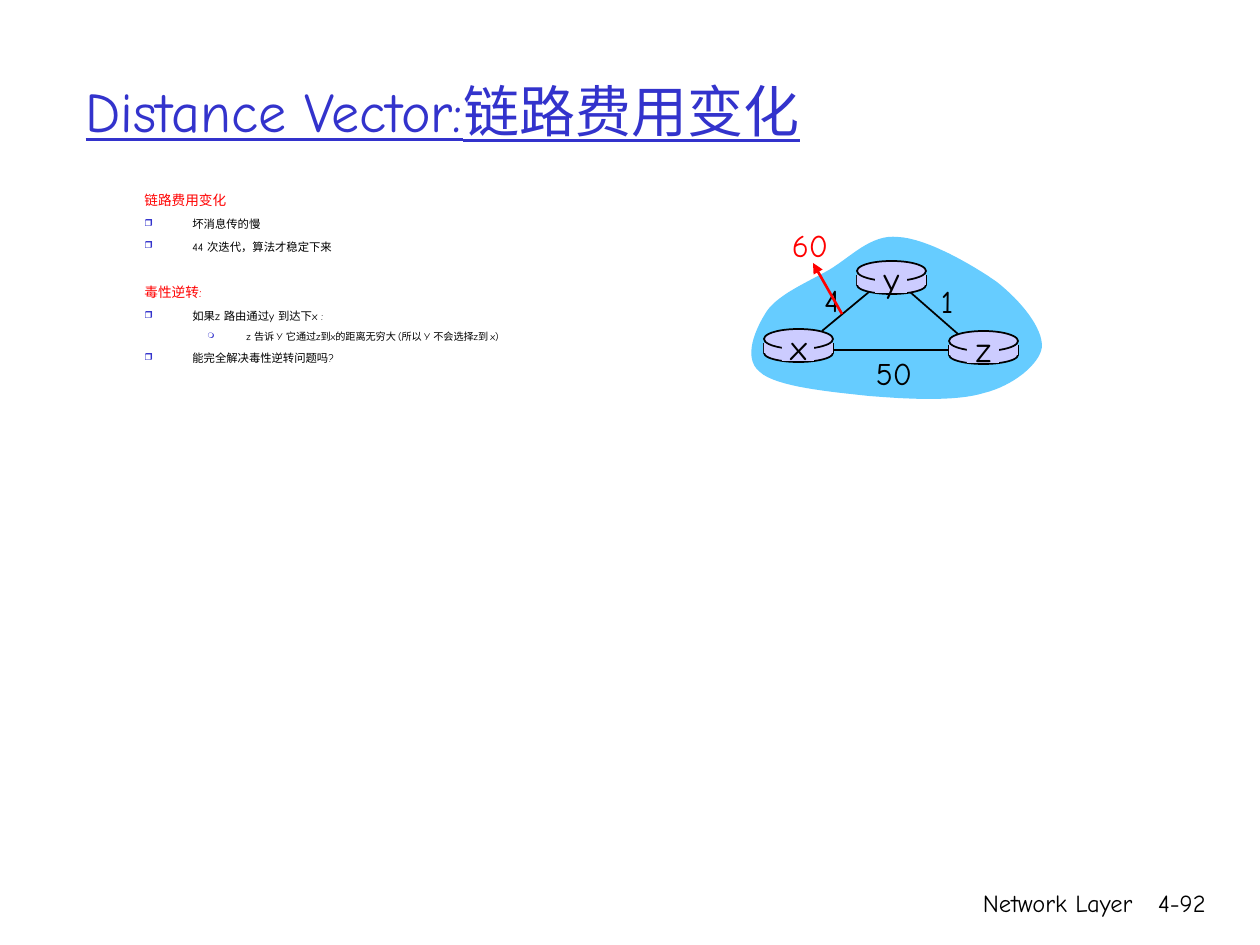
import dataclasses

import lxml.etree
import pptx
import pptx.dml.color
import pptx.enum.shapes
import pptx.enum.text
import pptx.oxml.ns
import pptx.util

SCALE = 914400 / 126
ALIGN = pptx.enum.text.PP_ALIGN
SHAPES = pptx.enum.shapes.MSO_SHAPE


@dataclasses.dataclass(frozen=True)
class Theme:
    """Colours, font and type sizes of the slide."""
    font: str = "Comic Neue"
    black: str = "000000"
    blue: str = "3333CC"
    red: str = "FF0000"
    cloud: str = "66CCFF"
    router: str = "CCCCFF"
    title: float = 32
    heading: float = 7.8
    point: float = 6.5
    subpoint: float = 5.8
    node: float = 20
    cost: float = 18
    footer: float = 14


THEME = Theme()

NOTES = [
    ("heading", "链路费用变化", 0),
    ("point", "坏消息传的慢", 5),
    ("point", "44 次迭代，算法才稳定下来", 5),
    ("heading", "毒性逆转:", 17.5),
    ("point", "如果z 路由通过y 到达下x :", 5),
    ("subpoint", "z 告诉 Y 它通过z到x的距离无穷大 (所以 Y 不会选择z到 x)", 4.5),
    ("point", "能完全解决毒性逆转问题吗?", 5),
]
BULLETS = {"point": ("❒", 85, 48, 48), "subpoint": ("❍", 75, 102, 39)}

CLOUD_START = (767, 311)
CLOUD_CURVES = [
    ((779, 294), (808, 282), (829, 270)),
    ((851, 257), (871, 234), (898, 237)),
    ((926, 238), (973, 265), (997, 282)),
    ((1021, 301), (1043, 328), (1042, 347)),
    ((1040, 364), (1013, 386), (984, 393)),
    ((955, 402), (906, 399), (869, 396)),
    ((832, 392), (776, 387), (760, 372)),
    ((742, 358), (756, 328), CLOUD_START),
]
LINKS = [((822, 331), (869, 292)), ((910, 292), (958, 334)), ((951, 350), (834, 350))]
ROUTERS = [("x", 764, 329), ("z", 949, 331), ("y", 857, 261)]
COSTS = [("1", 947, 276, THEME.black), ("4", 832, 275, THEME.black),
         ("50", 894, 348, THEME.black), ("60", 810, 220, THEME.red)]


def px(length):
    """Turn pixels into EMU."""
    return pptx.util.Emu(round(length * SCALE))


def rgb(colour):
    """Turn a hex string into a colour."""
    return pptx.dml.color.RGBColor.from_string(colour)


def style(paragraph, size, colour):
    """Format the runs of a paragraph."""
    for run in paragraph.runs:
        run.font.name = THEME.font
        run.font.size = pptx.util.Pt(size)
        run.font.color.rgb = rgb(colour)


def add_title(slide, wording):
    """Place and format the title placeholder."""
    title = slide.shapes.title
    title.left, title.top, title.width, title.height = map(px, (73, 31, 1071, 158))
    frame = title.text_frame
    frame.text = wording
    frame.auto_size = pptx.enum.text.MSO_AUTO_SIZE.NONE
    frame.vertical_anchor = pptx.enum.text.MSO_ANCHOR.MIDDLE
    heading = frame.paragraphs[0]
    heading.alignment = ALIGN.LEFT
    style(heading, THEME.title, THEME.blue)
    heading.runs[0].font.underline = True


def add_label(slide, wording, box, size, colour, align=ALIGN.CENTER, wrap=False):
    """Add a one-line text box."""
    frame = slide.shapes.add_textbox(*map(px, box)).text_frame
    frame.text = wording
    frame.word_wrap = wrap
    if not wrap:
        frame.auto_size = pptx.enum.text.MSO_AUTO_SIZE.SHAPE_TO_FIT_TEXT
    frame.paragraphs[0].alignment = align
    style(frame.paragraphs[0], size, colour)


def add_bullet(paragraph, mark, percent, margin, hanging):
    """Give a paragraph a coloured bullet and a hanging indent."""
    properties = paragraph._p.get_or_add_pPr()
    properties.set("marL", str(px(margin)))
    properties.set("indent", str(-px(hanging)))
    qn = pptx.oxml.ns.qn
    colour = lxml.etree.SubElement(properties, qn("a:buClr"))
    lxml.etree.SubElement(colour, qn("a:srgbClr"), val=THEME.blue)
    lxml.etree.SubElement(properties, qn("a:buSzPct"), val=str(percent * 1000))
    lxml.etree.SubElement(properties, qn("a:buChar"), char=mark)


def add_notes(slide):
    """Add the headings and bulleted points."""
    frame = slide.shapes.add_textbox(*map(px, (132, 186, 563, 205))).text_frame
    frame.word_wrap = True
    for index, (role, wording, space) in enumerate(NOTES):
        paragraph = frame.add_paragraph() if index else frame.paragraphs[0]
        paragraph.text = wording
        if role in BULLETS:
            add_bullet(paragraph, *BULLETS[role])
        paragraph.level = int(role == "subpoint")
        paragraph.space_before = pptx.util.Pt(space)
        style(paragraph, getattr(THEME, role), THEME.red if role == "heading" else THEME.black)


def paint(shape, fill, outline=None):
    """Set the fill and outline of a shape."""
    shape.shadow.inherit = False
    shape.fill.solid()
    shape.fill.fore_color.rgb = rgb(fill)
    if outline:
        shape.line.color.rgb = rgb(outline)
        shape.line.width = pptx.util.Pt(1)
    else:
        shape.line.fill.background()


def add_line(slide, start, end, colour=THEME.black, width=1, arrow=False):
    """Add a straight line, with an arrowhead at its end if wanted."""
    line = slide.shapes.add_connector(
        pptx.enum.shapes.MSO_CONNECTOR.STRAIGHT, *map(px, start + end))
    line.line.color.rgb = rgb(colour)
    line.line.width = pptx.util.Pt(width)
    qn = pptx.oxml.ns.qn
    if arrow:
        lxml.etree.SubElement(line.line._get_or_add_ln(), qn("a:tailEnd"), type="triangle")
    lxml.etree.SubElement(line._element.spPr, qn("a:effectLst"))


def add_cloud(slide, steps=16):
    """Add the network cloud, traced along its Bézier curves."""
    outline = []
    start = CLOUD_START
    for first, second, end in CLOUD_CURVES:
        for step in range(1, steps + 1):
            t = step / steps
            outline.append(tuple(
                px((1 - t) ** 3 * a + 3 * t * (1 - t) ** 2 * b + 3 * t * t * (1 - t) * c + t ** 3 * d)
                for a, b, c, d in zip(start, first, second, end)))
        start = end
    builder = slide.shapes.build_freeform(*map(px, CLOUD_START))
    builder.add_line_segments(outline, close=True)
    paint(builder.convert_to_shape(), THEME.cloud)


def add_router(slide, name, left, top):
    """Add a router drum with its name."""
    def part(kind, x, y, width, height, outline=None):
        """Add one part of the drum."""
        box = map(px, (left + x, top + y, width, height))
        paint(slide.shapes.add_shape(kind, *box), THEME.router, outline)

    part(SHAPES.OVAL, 0, 15, 69, 18, THEME.black)
    for side in (left, left + 69):
        add_line(slide, (side, top + 14), (side, top + 24))
    part(SHAPES.RECTANGLE, 0, 14, 69, 10)
    part(SHAPES.OVAL, 0, 0, 69, 20, THEME.black)
    part(SHAPES.RECTANGLE, 18, 3, 32, 29)
    add_label(slide, name, (left + 14, top - 10, 41, 55), THEME.node, THEME.black)


def main():
    """Build and save the slide."""
    deck = pptx.Presentation()
    deck.slide_width, deck.slide_height = px(1260), px(945)
    slide = deck.slides.add_slide(deck.slide_layouts[5])
    for wording, box in (("Network Layer", (746, 882, 399, 63)), ("4-92", (1125, 882, 93, 63))):
        add_label(slide, wording, box, THEME.footer, THEME.black, ALIGN.RIGHT, wrap=True)
    add_title(slide, "Distance Vector:链路费用变化")
    add_notes(slide)
    add_cloud(slide)
    for start, end in LINKS:
        add_line(slide, start, end)
    for router in ROUTERS:
        add_router(slide, *router)
    for cost, center, top, colour in COSTS:
        width = 20 + 24 * len(cost)
        add_label(slide, cost, (center - width // 2, top, width, 50), THEME.cost, colour)
    add_line(slide, (842, 314), (813, 263), THEME.red, 1.5, arrow=True)
    deck.save("out.pptx")


if __name__ == "__main__":
    main()
